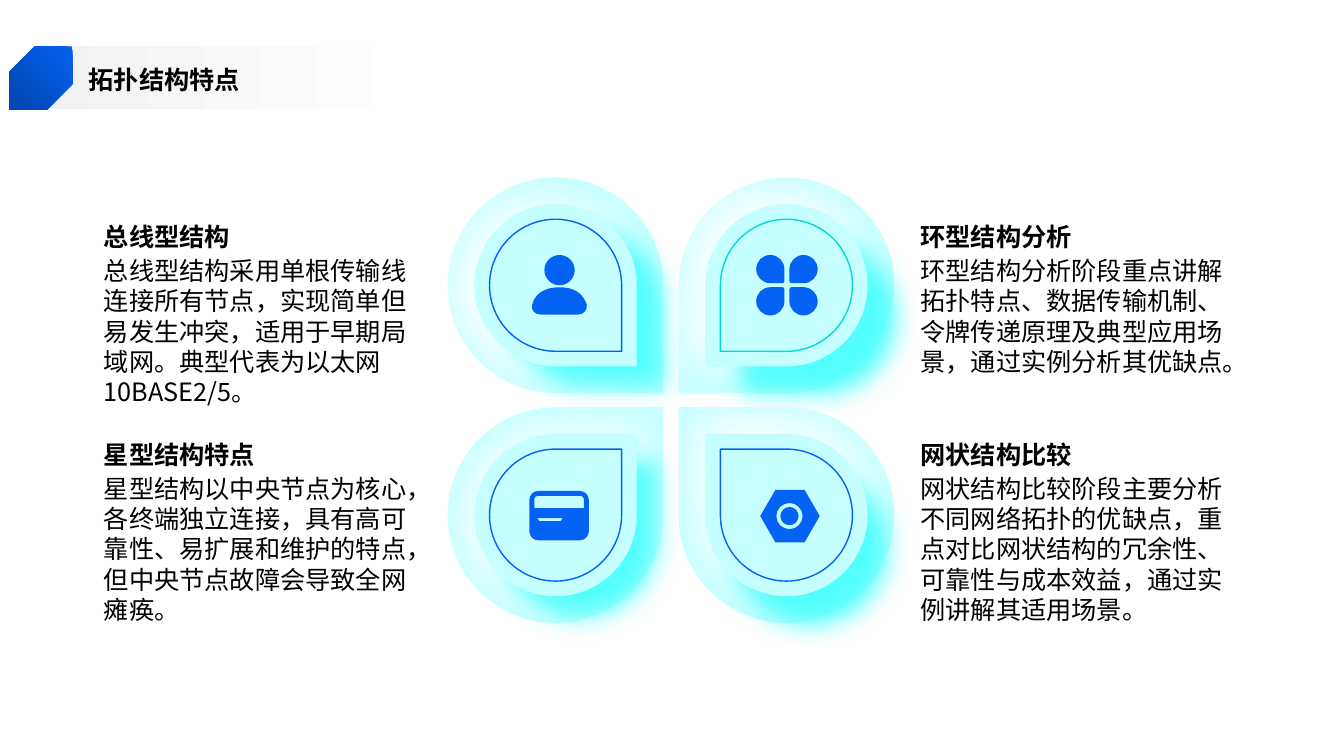
"""Build the slide on the features of four network topologies."""
from lxml import etree
from pptx import Presentation
from pptx.dml.color import RGBColor
from pptx.enum import shapes as kinds, text as txt
from pptx.oxml.ns import qn
from pptx.util import Inches, Pt

TITLE = "拓扑结构特点"
TOPICS = [
    dict(head="总线型结构", body="总线型结构采用单根传输线连接所有节点，实现简单但易发生冲突，适用于早期局域网。典型代表为以太网10BASE2/5。",
         icon="user", turn=90, edge="blue"),
    dict(head="环型结构分析", body="环型结构分析阶段重点讲解拓扑特点、数据传输机制、令牌传递原理及典型应用场景，通过实例分析其优缺点。",
         icon="clover", turn=180, edge="teal"),
    dict(head="星型结构特点", body="星型结构以中央节点为核心，各终端独立连接，具有高可靠性、易扩展和维护的特点，但中央节点故障会导致全网瘫痪。",
         icon="card", turn=0, edge="blue"),
    dict(head="网状结构比较", body="网状结构比较阶段主要分析不同网络拓扑的优缺点，重点对比网状结构的冗余性、可靠性与成本效益，通过实例讲解其适用场景。",
         icon="nut", turn=270, edge="blue"),
]


class Theme:
    """Hold the colours, font and sizes."""
    font = "Noto Sans CJK SC"
    size = Pt(18)
    pitch = Pt(21.7)
    ink = "000000"
    blue = "0462F5"
    navy = "034AB8"
    teal = "00DADA"
    pale = "C5FFFF"
    glow = "50FFFF"
    white = "FFFFFF"
    grey = "F2F2F2"


LAYERS = [
    dict(size=2.14),
    dict(size=1.61, shade=(Theme.white, 32, 3, 180, 106)),
    dict(size=1.61, shade=(Theme.glow, 18, 24, 45, 95)),
    dict(size=1.31, shade=(Theme.white, 34, 24, 45, 100), line=True),
]
MID_X, MID_Y = (5.51, 7.80), (2.83, 5.11)
TEXT_X, HEAD_Y, BODY_Y = (1.03, 9.13), (2.19, 4.35), (2.53, 4.69)


def rgb(code):
    """Turn a hex code into a colour."""
    return RGBColor.from_string(code)


def curve(x, y, wide, high, radii):
    """Trace a box with its own radius at each corner, clockwise from top left."""
    ways = [(0, -1), (1, 0), (0, 1), (-1, 0)]
    tips = [(x, y), (x + wide, y), (x + wide, y + high), (x, y + high)]
    steps = []
    for i, ((cx, cy), rad) in enumerate(zip(tips, radii)):
        (ax, ay), (bx, by) = ways[i], ways[(i + 1) % 4]
        start = (cx - ax * rad, cy - ay * rad)
        end = (cx + bx * rad, cy + by * rad)
        if not steps or max(abs(p - q) for p, q in zip(steps[-1][-2:], start)) > 0.001:
            steps.append(start)
        if rad:
            near = 0.45 * rad
            steps.append((cx - ax * near, cy - ay * near, cx + bx * near, cy + by * near, *end))
    return steps


def disc(x, y, rad):
    """Trace a circle."""
    return curve(x - rad, y - rad, 2 * rad, 2 * rad, [rad] * 4)


def clover():
    """Trace four leaves, each with its sharp corner at the centre."""
    leaves = []
    for i, (x, y) in enumerate([(-0.3, -0.3), (0.03, -0.3), (0.03, 0.02), (-0.3, 0.02)]):
        radii = [0.14] * 4
        radii[(i + 2) % 4] = 0.02
        leaves.append(curve(x, y, 0.28, 0.28, radii))
    return leaves


ICONS = {
    "user": [[(0.04, 0.02), (0.22, 0.02, 0.28, 0.11, 0.31, 0.19), (0.32, 0.24, 0.28, 0.29, 0.23, 0.29),
              (-0.15, 0.29), (-0.21, 0.29, -0.25, 0.24, -0.23, 0.19),
              (-0.21, 0.11, -0.14, 0.02, 0.04, 0.02)],
             disc(0.04, -0.15, 0.15)],
    "clover": clover(),
    "card": [curve(-0.26, -0.24, 0.59, 0.49, [0.09] * 4),
             curve(-0.21, -0.19, 0.49, 0.12, (0.03, 0.03, 0, 0)),
             [(-0.18, 0.03), (-0.16, 0.06), (0.05, 0.06), (0.07, 0.03)]],
    "nut": [[(-0.26, 0.01), (-0.11, -0.25), (0.18, -0.25), (0.33, 0.01), (0.18, 0.27), (-0.11, 0.27)],
            disc(0.03, 0.01, 0.13), disc(0.03, 0.01, 0.09)],
}


def shadow(shape, tint, blur, dist, angle, scale):
    """Cast a soft outer shadow."""
    host = shape.element.spPr.find(qn("a:effectLst"))
    cast = etree.SubElement(host, qn("a:outerShdw"), blurRad=str(Pt(blur)), dist=str(Pt(dist)),
                            dir=str(angle * 60000), sx=str(scale * 1000), sy=str(scale * 1000),
                            algn="ctr", rotWithShape="0")
    etree.SubElement(cast, qn("a:srgbClr"), val=tint)


def preset(slide, kind, x, y, wide, high):
    """Add a plain preset shape."""
    shape = slide.shapes.add_shape(kind, Inches(x), Inches(y), Inches(wide), Inches(high))
    shape.shadow.inherit = False
    shape.line.fill.background()
    return shape


def blend(shape, first, last, angle):
    """Fill a shape with two colours."""
    shape.fill.gradient()
    shape.fill.gradient_angle = angle
    for stop, tint, spot in zip(shape.fill.gradient_stops, (first, last), (0, 0.8)):
        stop.color.rgb = rgb(tint)
        stop.position = spot


def write(shape, words, anchor, bold=False):
    """Set one paragraph of text."""
    frame = shape.text_frame
    frame.word_wrap = True
    frame.auto_size = txt.MSO_AUTO_SIZE.NONE
    frame.vertical_anchor = anchor
    frame.margin_left = frame.margin_right = frame.margin_top = frame.margin_bottom = 0
    para = frame.paragraphs[0]
    para.alignment = txt.PP_ALIGN.LEFT
    para.line_spacing = Theme.pitch
    run = para.add_run()
    run.text = words
    font = run.font
    font.name, font.size, font.bold = Theme.font, Theme.size, bold
    font.color.rgb = rgb(Theme.ink)
    etree.SubElement(run._r.get_or_add_rPr(), qn("a:ea"), typeface=Theme.font)


def label(slide, x, y, high, words, anchor, bold=False):
    """Add a text box."""
    box = slide.shapes.add_textbox(Inches(x), Inches(y), Inches(3.16), Inches(high))
    write(box, words, anchor, bold)


def petal(slide, x, y, topic):
    """Stack the drops of one petal and put its icon on top."""
    for layer in LAYERS:
        size = layer["size"]
        drop = preset(slide, kinds.MSO_SHAPE.TEAR, x - size / 2, y - size / 2, size, size)
        drop.rotation = topic["turn"]
        if "line" in layer:
            drop.fill.background()
            drop.line.color.rgb = rgb(getattr(Theme, topic["edge"]))
            drop.line.width = Pt(1)
        else:
            drop.fill.solid()
            drop.fill.fore_color.rgb = rgb(Theme.pale)
        if "shade" in layer:
            shadow(drop, *layer["shade"])
    draw(slide, x, y, ICONS[topic["icon"]])


def draw(slide, x, y, loops):
    """Draw closed outlines as one shape, bending the steps that have handles."""
    paths = [[[Inches(v + (y if k % 2 else x)) for k, v in enumerate(step)] for step in loop]
             for loop in loops]
    pen = slide.shapes.build_freeform(*paths[0][0])
    for i, steps in enumerate(paths):
        if i:
            pen.move_to(*steps[0])
        pen.add_line_segments([step[-2:] for step in steps[1:]], close=True)
    icon = pen.convert_to_shape()
    bends = [step for steps in paths for step in steps[1:]]
    for node, step in zip(list(icon.element.iter(qn("a:lnTo"))), bends):
        if len(step) == 6:
            node.tag = qn("a:cubicBezTo")
            for k in (0, 2):
                spot = etree.Element(qn("a:pt"), x=str(step[k] - icon.left), y=str(step[k + 1] - icon.top))
                node.insert(k // 2, spot)
    icon.shadow.inherit = False
    icon.fill.solid()
    icon.fill.fore_color.rgb = rgb(Theme.blue)
    icon.line.fill.background()


def header(slide):
    """Add the title on its fading bar."""
    bar = preset(slide, kinds.MSO_SHAPE.RECTANGLE, 0.33, 0.46, 4.92, 0.62)
    blend(bar, Theme.grey, Theme.white, 0)
    title = slide.shapes.title
    title.left, title.top, title.width, title.height = map(Inches, (0.88, 0.53, 11.88, 0.51))
    write(title, TITLE, txt.MSO_ANCHOR.MIDDLE, True)
    bar.element.addnext(title.element)
    badge = preset(slide, kinds.MSO_SHAPE.SNIP_2_DIAG_RECTANGLE, 0.09, 0.46, 0.63, 0.63)
    badge.adjustments[0], badge.adjustments[1] = 0.41, 0
    blend(badge, Theme.blue, Theme.navy, 225)


def main():
    """Build and save the deck."""
    deck = Presentation()
    deck.slide_width, deck.slide_height = Inches(13.33), Inches(7.5)
    slide = deck.slides.add_slide(deck.slide_layouts[5])
    for i, topic in enumerate(TOPICS):
        row, col = divmod(i, 2)
        petal(slide, MID_X[col], MID_Y[row], topic)
        label(slide, TEXT_X[col], BODY_Y[row], 1.54, topic["body"], txt.MSO_ANCHOR.TOP)
        label(slide, TEXT_X[col], HEAD_Y[row], 0.31, topic["head"], txt.MSO_ANCHOR.BOTTOM, True)
    header(slide)
    deck.save("out.pptx")


if __name__ == "__main__":
    main()
